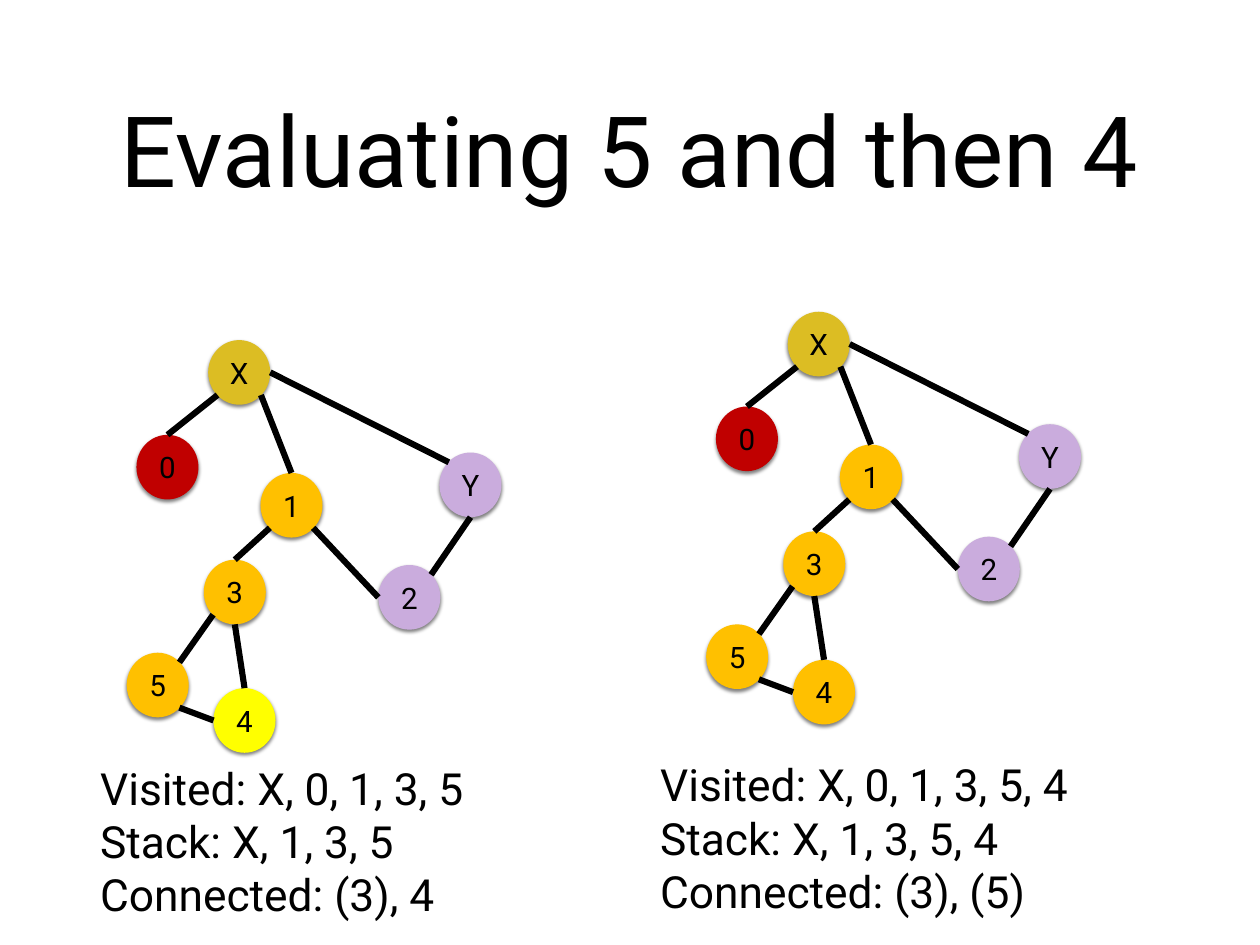
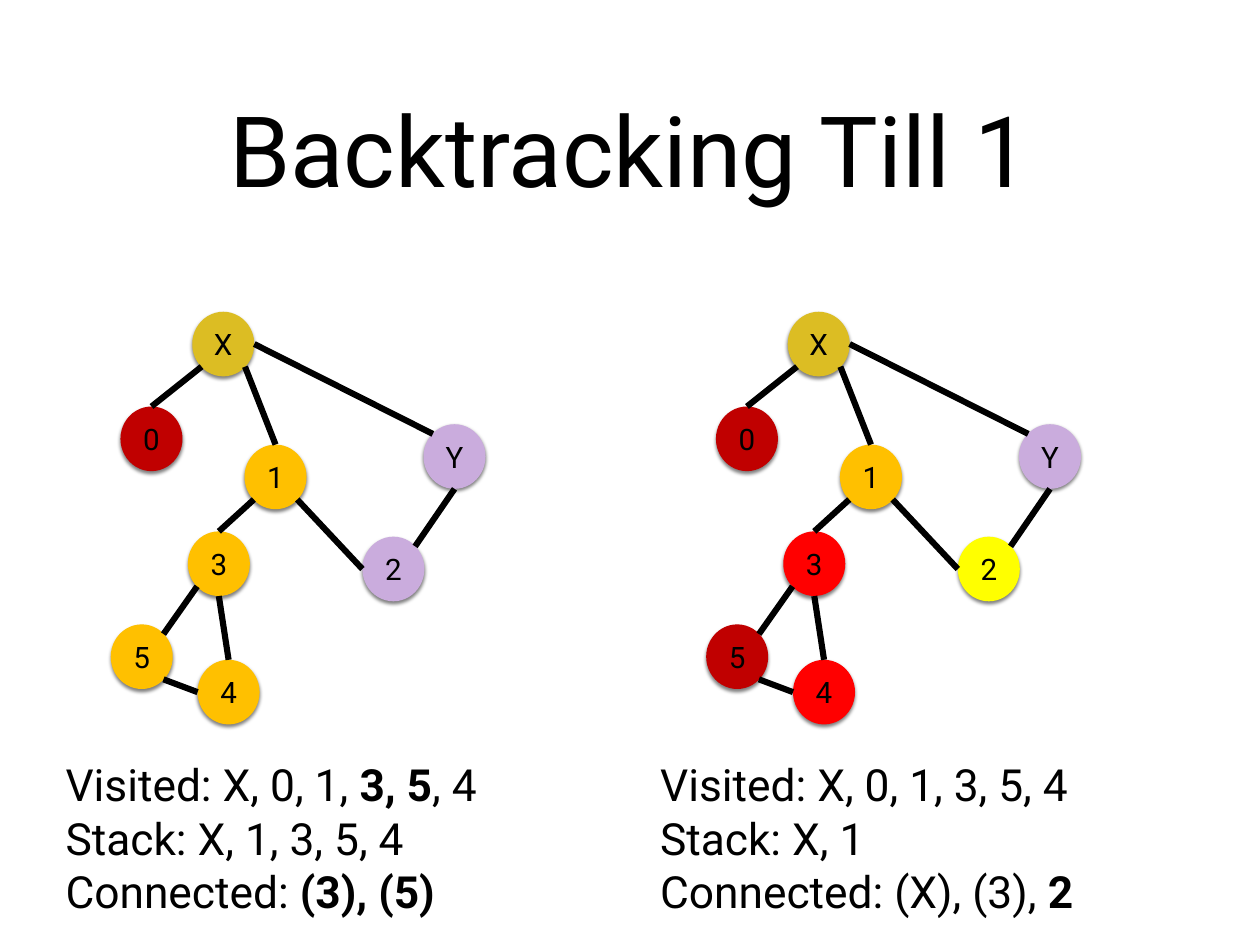
from dataclasses import dataclass

from lxml import etree
from pptx import Presentation
from pptx.dml.color import RGBColor as RGB
from pptx.enum.shapes import MSO_CONNECTOR as CONN, MSO_SHAPE as SHAPE
from pptx.enum.text import MSO_ANCHOR as ANCHOR, MSO_AUTO_SIZE as AUTO, PP_ALIGN as ALIGN
from pptx.oxml import parse_xml
from pptx.oxml.ns import nsdecls, qn
from pptx.util import Inches, Pt


@dataclass(frozen=True)
class Theme:
    font: str = "Roboto"
    ink: RGB = RGB(0x00, 0x00, 0x00)
    start: RGB = RGB(0xDC, 0xBD, 0x23)
    done: RGB = RGB(0xC0, 0x00, 0x00)
    stacked: RGB = RGB(0xFF, 0xC0, 0x00)
    unseen: RGB = RGB(0xCA, 0xAC, 0xDD)
    current: RGB = RGB(0xFF, 0xFF, 0x00)
    popped: RGB = RGB(0xFF, 0x00, 0x00)
    title: Pt = Pt(80)
    body: Pt = Pt(36)
    node: Pt = Pt(24)
    edge: Pt = Pt(5)
    inset: Inches = Inches(0.06)


T = Theme()
NODE_W, NODE_H = 0.7, 0.73
OFFSETS = {
    "1": (0.59, 1.5), "3": (-0.05, 2.48), "2": (1.92, 2.54), "5": (-0.92, 3.53),
    "4": (0.06, 3.93), "X": (0, 0), "0": (-0.81, 1.07), "Y": (2.61, 1.27),
}
SITES = {
    "top": (0.5, 0), "left": (0, 0.5), "bottom": (0.5, 1), "right": (1, 0.5),
    "top left": (0.15, 0.15), "top right": (0.85, 0.15),
    "bottom left": (0.15, 0.85), "bottom right": (0.85, 0.85),
}
EDGES = [
    ("3", "bottom", "4", "top"),
    ("1", "bottom left", "3", "top"),
    ("2", "top right", "Y", "bottom"),
    ("1", "bottom right", "2", "left"),
    ("X", "bottom right", "1", "top"),
    ("X", "right", "Y", "top left"),
    ("3", "bottom left", "5", "top right"),
    ("0", "top", "X", "bottom left"),
    ("5", "bottom right", "4", "left"),
]
BASE = {
    "X": T.start, "0": T.done, "1": T.stacked, "3": T.stacked, "5": T.stacked,
    "4": T.stacked, "2": T.unseen, "Y": T.unseen,
}
SHADOW = (
    f'<a:effectLst {nsdecls("a")}>'
    '<a:outerShdw blurRad="38100" dist="25400" dir="5400000" rotWithShape="0">'
    '<a:srgbClr val="000000"><a:alpha val="50000"/></a:srgbClr>'
    '</a:outerShdw></a:effectLst>'
)

SLIDES = [
    ("Evaluating 5 and then 4", [
        ((8.89, 3.52), {}, (7.39, 8.49, 5.67), [
            [("Visited: X, 0, 1, 3, 5, 4", False)],
            [("Stack: X, 1, 3, 5, 4", False)],
            [("Connected: (3), (5)", False)],
        ]),
        ((2.35, 3.84), {"4": T.current}, (1.07, 8.53, 4.53), [
            [("Visited: X, 0, 1, 3, 5", False)],
            [("Stack: X, 1, 3, 5", False)],
            [("Connected: (3), 4", False)],
        ]),
    ]),
    ("Backtracking Till 1", [
        ((8.89, 3.52), {"3": T.popped, "4": T.popped, "5": T.done, "2": T.current},
         (7.39, 8.49, 5.67), [
            [("Visited: X, 0, 1, 3, 5, 4", False)],
            [("Stack: X, 1", False)],
            [("Connected: (X), (3), ", False), ("2", True)],
        ]),
        ((2.17, 3.52), {}, (0.68, 8.49, 5.67), [
            [("Visited: X, 0, 1, ", False), ("3, 5", True), (", 4", False)],
            [("Stack: X, 1, 3, 5, 4", False)],
            [("Connected: ", False), ("(3), (5)", True)],
        ]),
    ]),
]


def write(tf, lines, size, align):
    tf.word_wrap = True
    tf.auto_size = AUTO.NONE
    tf.vertical_anchor = ANCHOR.MIDDLE
    tf.margin_left = tf.margin_right = tf.margin_top = tf.margin_bottom = T.inset
    for i, runs in enumerate(lines):
        p = tf.add_paragraph() if i else tf.paragraphs[0]
        p.alignment = align
        for text, bold in runs:
            r = p.add_run()
            r.text = text
            r.font.name = T.font
            r.font.size = size
            r.font.bold = bold
            r.font.color.rgb = T.ink


def site_point(origin, node, site):
    dx, dy = OFFSETS[node]
    fx, fy = SITES[site]
    return Inches(origin[0] + dx + fx * NODE_W), Inches(origin[1] + dy + fy * NODE_H)


prs = Presentation()
prs.slide_width, prs.slide_height = Inches(14.22), Inches(10.67)

for title, graphs in SLIDES:
    s = prs.slides.add_slide(prs.slide_layouts[5])
    sp = s.shapes.title
    sp.left, sp.top, sp.width, sp.height = map(Inches, (1.04, 0.49, 12.14, 2.36))
    write(sp.text_frame, [[(title, False)]], T.title, ALIGN.CENTER)

    for origin, changes, (left, top, width), status in graphs:
        fills = BASE | changes
        for node, (dx, dy) in OFFSETS.items():
            sp = s.shapes.add_shape(SHAPE.OVAL, Inches(origin[0] + dx), Inches(origin[1] + dy),
                                    Inches(NODE_W), Inches(NODE_H))
            sp.fill.solid()
            sp.fill.fore_color.rgb = fills[node]
            sp.line.fill.background()
            sp._element.spPr.append(parse_xml(SHADOW))
            write(sp.text_frame, [[(node, False)]], T.node, ALIGN.CENTER)

        for tail, tail_site, head, head_site in EDGES:
            edge = s.shapes.add_connector(CONN.STRAIGHT, *site_point(origin, tail, tail_site),
                                          *site_point(origin, head, head_site))
            edge.line.color.rgb = T.ink
            edge.line.width = T.edge
            etree.SubElement(edge._element.spPr, qn("a:effectLst"))

        sp = s.shapes.add_textbox(Inches(left), Inches(top), Inches(width), Inches(1.93))
        write(sp.text_frame, status, T.body, ALIGN.LEFT)

prs.save("out.pptx")
